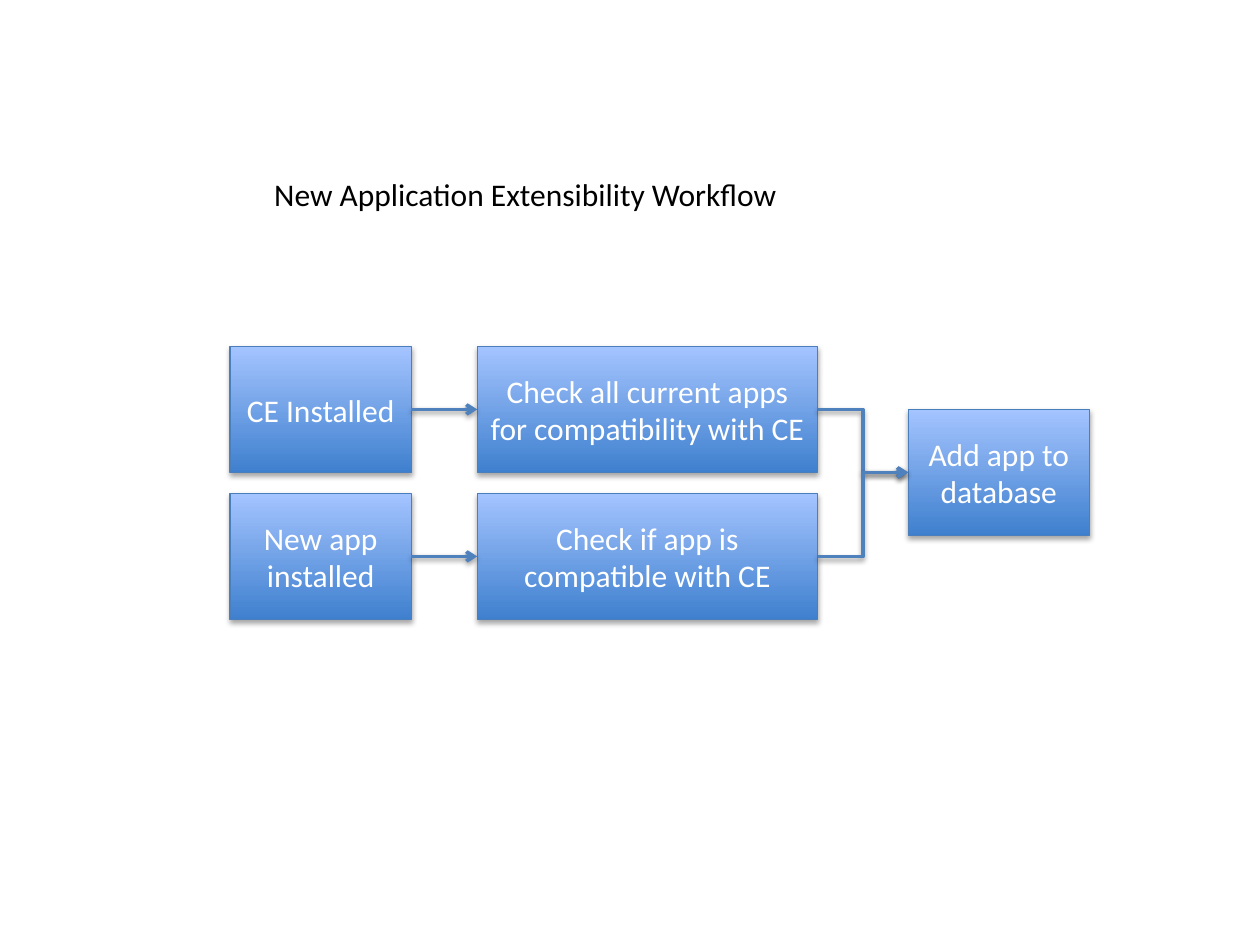
from lxml import etree
from pptx import Presentation
from pptx.dml.color import RGBColor
from pptx.enum.shapes import MSO_CONNECTOR, MSO_SHAPE
from pptx.enum.text import MSO_ANCHOR, MSO_AUTO_SIZE, PP_ALIGN
from pptx.oxml import parse_xml
from pptx.oxml.ns import qn
from pptx.util import Pt

RECTANGLE = MSO_SHAPE.RECTANGLE
ELBOW = MSO_CONNECTOR.ELBOW
TOP, MIDDLE = MSO_ANCHOR.TOP, MSO_ANCHOR.MIDDLE
LEFT, CENTER = PP_ALIGN.LEFT, PP_ALIGN.CENTER
FIT_SHAPE = MSO_AUTO_SIZE.SHAPE_TO_FIT_TEXT
LEFT_SITE, RIGHT_SITE = 1, 3
DRAWING = "http://schemas.openxmlformats.org/drawingml/2006/main"


def color(value):
    """Turn a hex string into a colour."""
    return RGBColor.from_string(value)


def add_shadow(item, distance, opacity):
    """Give a shape or connector a soft black shadow below it."""
    item.element.spPr.append(parse_xml(
        f'<a:effectLst xmlns:a="{DRAWING}">'
        f'<a:outerShdw blurRad="{Pt(3.1)}" dist="{Pt(distance)}" dir="5400000" rotWithShape="0">'
        f'<a:srgbClr val="000000"><a:alpha val="{opacity * 1000}"/></a:srgbClr>'
        '</a:outerShdw></a:effectLst>'))


deck = Presentation()
deck.slide_width, deck.slide_height = Pt(720), Pt(540)
page = deck.slides.add_slide(deck.slide_layouts[5])

title = page.shapes.title
title.left, title.top, title.width, title.height = Pt(149.5), Pt(96.5), Pt(304.5), Pt(29)
frame = title.text_frame
frame.text = "New Application Extensibility Workflow"
frame.word_wrap = False
frame.auto_size = FIT_SHAPE
frame.vertical_anchor = TOP
heading = frame.paragraphs[0]
heading.alignment = LEFT
heading.font.name, heading.font.size = "Calibri", Pt(18)
heading.font.color.rgb = color("000000")

BOX_HEIGHT = 72
UPPER, LOWER, BETWEEN = 198, 282, 234
START, CHECK, FINISH = (131.5, 103.5), (272.75, 194.5), (519, 103.5)
steps = [
    ("CE Installed", START, UPPER),
    ("Check all current apps for compatibility with CE", CHECK, UPPER),
    ("New app installed", START, LOWER),
    ("Check if app is compatible with CE", CHECK, LOWER),
    ("Add app to database", FINISH, BETWEEN),
]
boxes = []
for text, (left, width), top in steps:
    box = page.shapes.add_shape(RECTANGLE, Pt(left), Pt(top), Pt(width), Pt(BOX_HEIGHT))
    box.fill.gradient()
    box.fill.gradient_angle = 90
    for stop, position, shade in zip(box.fill.gradient_stops, (0, 1), ("3F80CE", "A4C4FF")):
        stop.position = position
        stop.color.rgb = color(shade)
    box.line.color.rgb = color("4B7EBC")
    box.line.width = Pt(0.75)
    add_shadow(box, 1.8, 35)
    box.text_frame.text = text
    box.text_frame.word_wrap = True
    box.text_frame.vertical_anchor = MIDDLE
    para = box.text_frame.paragraphs[0]
    para.alignment = CENTER
    para.font.name, para.font.size = "Calibri", Pt(18)
    para.font.color.rgb = color("FFFFFF")
    boxes.append(box)

installed, check_all, new_app, check_one, add_app = boxes
flows = [(installed, check_all), (new_app, check_one), (check_all, add_app), (check_one, add_app)]
for source, target in flows:
    arrow = page.shapes.add_connector(
        ELBOW,
        source.left + source.width, source.top + source.height // 2,
        target.left, target.top + target.height // 2)
    arrow.begin_connect(source, RIGHT_SITE)
    arrow.end_connect(target, LEFT_SITE)
    arrow.line.color.rgb = color("4F81BD")
    arrow.line.width = Pt(2)
    etree.SubElement(arrow.line._get_or_add_ln(), qn("a:tailEnd"), type="arrow")
    add_shadow(arrow, 1.6, 38)

deck.save("out.pptx")
